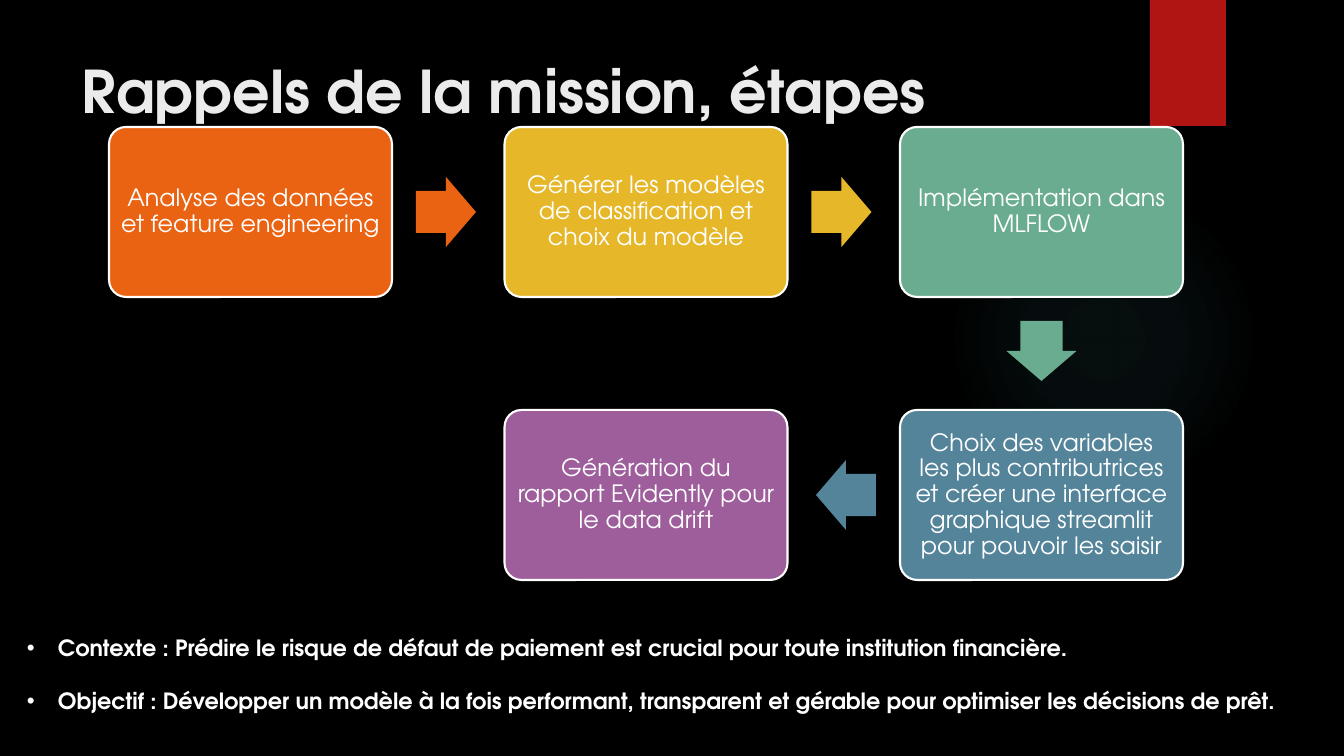
from dataclasses import dataclass
from lxml import etree
from pptx import Presentation
from pptx.dml.color import RGBColor
from pptx.enum.shapes import MSO_SHAPE as SHAPE
from pptx.enum.text import MSO_ANCHOR as ANCHOR, PP_ALIGN as ALIGN
from pptx.oxml import parse_xml
from pptx.oxml.ns import nsdecls, qn
from pptx.util import Pt


@dataclass(frozen=True)
class Theme:
    font: str = "TeX Gyre Adventor"
    background: str = "000000"
    white: str = "FFFFFF"
    title: str = "EBEBEB"
    ribbon: str = "B01513"
    glow: str = "50B9C1"
    title_size: int = 42
    step_size: int = 17
    note_size: int = 16


THEME = Theme()
PX = 914400 / 100.8
STEPS = [
    ("Analyse des données et feature engineering", "EA6312", 0, 0),
    ("Générer les modèles de classification et choix du modèle", "E6B729", 1, 0),
    ("Implémentation dans MLFLOW", "6AAC90", 2, 0),
    ("Choix des variables les plus contributrices et créer une interface "
     "graphique streamlit pour pouvoir les saisir", "54849A", 2, 1),
    ("Génération du rapport Evidently pour le data drift", "9E5E9B", 1, 1),
]
TURNS = {(1, 0): 0, (0, 1): 90, (-1, 0): 180}
NOTES = [
    "Contexte : Prédire le risque de défaut de paiement est crucial pour toute "
    "institution financière.",
    "Objectif : Développer un modèle à la fois performant, transparent et gérable "
    "pour optimiser les décisions de prêt.",
]


def emu(*lengths):
    return [round(n * PX) for n in lengths]


def rgb(color):
    return RGBColor.from_string(color)


def add_filled(slide, kind, box, color):
    s = slide.shapes.add_shape(kind, *emu(*box))
    s.shadow.inherit = False
    s.fill.solid()
    s.fill.fore_color.rgb = rgb(color)
    s.line.fill.background()
    return s


def add_run(p, text, size, color, bold=False):
    r = p.add_run()
    r.text = text
    r.font.name = THEME.font
    r.font.size = Pt(size)
    r.font.bold = bold
    r.font.color.rgb = rgb(color)


def add_text_frame(slide, box):
    tf = slide.shapes.add_textbox(*emu(*box)).text_frame
    tf.word_wrap = True
    return tf


def add_glow(slide, box):
    s = add_filled(slide, SHAPE.OVAL, box, THEME.glow)
    stops = "".join(
        f'<a:gs pos="{pos * 1000}"><a:srgbClr val="{THEME.glow}">'
        f'<a:alpha val="{alpha * 1000}"/></a:srgbClr></a:gs>'
        for pos, alpha in [(0, 7), (36, 6), (69, 0), (100, 0)])
    gradient = parse_xml(
        f'<a:gradFill {nsdecls("a")}><a:gsLst>{stops}</a:gsLst><a:path path="circle">'
        '<a:fillToRect l="50000" t="50000" r="50000" b="50000"/></a:path></a:gradFill>')
    props = s.element.spPr
    props.replace(props.find(qn("a:solidFill")), gradient)


def add_title(slide, box, text):
    tf = add_text_frame(slide, box)
    add_run(tf.paragraphs[0], text, THEME.title_size, THEME.title, True)


def add_step(slide, box, text, color):
    s = add_filled(slide, SHAPE.ROUNDED_RECTANGLE, box, color)
    s.adjustments[0] = 0.1
    s.line.color.rgb = rgb(THEME.white)
    s.line.width = Pt(1.5)
    tf = s.text_frame
    tf.word_wrap = True
    tf.vertical_anchor = ANCHOR.MIDDLE
    tf.margin_left, tf.margin_top, tf.margin_right, tf.margin_bottom = emu(7, 7, 7, 7)
    p = tf.paragraphs[0]
    p.alignment = ALIGN.CENTER
    p.line_spacing = 0.9
    add_run(p, text, THEME.step_size, THEME.white)


def add_arrow(slide, step_box, direction, color):
    x, y, w, h = step_box
    dx, dy = direction
    length, breadth, gap = 60, 70, 24
    cx = x + w / 2 + dx * (w / 2 + gap + length / 2)
    cy = y + h / 2 + dy * (h / 2 + gap + length / 2)
    box = (cx - length / 2, cy - breadth / 2, length, breadth)
    s = add_filled(slide, SHAPE.RIGHT_ARROW, box, color)
    s.adjustments[0] = 0.6
    s.adjustments[1] = 0.5
    s.rotation = TURNS[direction]


def add_flow(slide, box):
    x, y, w, h = box
    step_w, step_h = 283, 170
    pitch_x, pitch_y = (w - step_w) / 2, h - step_h
    for i, (text, color, col, row) in enumerate(STEPS):
        step_box = (x + col * pitch_x, y + row * pitch_y, step_w, step_h)
        add_step(slide, step_box, text, color)
        if i + 1 < len(STEPS):
            next_col, next_row = STEPS[i + 1][2:]
            add_arrow(slide, step_box, (next_col - col, next_row - row), color)


def add_notes(slide, box):
    tf = add_text_frame(slide, box)
    indent = emu(31)[0]
    for i, text in enumerate(NOTES):
        p = tf.add_paragraph() if i else tf.paragraphs[0]
        p.space_before = Pt(19 if i else 0)
        props = p._p.get_or_add_pPr()
        props.set("marL", str(indent))
        props.set("indent", str(-indent))
        etree.SubElement(props, qn("a:buFont")).set("typeface", "Arial")
        etree.SubElement(props, qn("a:buChar")).set("char", "•")
        add_run(p, text, THEME.note_size, THEME.white, True)


def main():
    prs = Presentation()
    prs.slide_width, prs.slide_height = emu(1344, 756)
    slide = prs.slides.add_slide(prs.slide_layouts[6])
    slide.background.fill.solid()
    slide.background.fill.fore_color.rgb = rgb(THEME.background)
    add_glow(slide, (949, 184, 310, 310))
    add_filled(slide, SHAPE.RECTANGLE, (1150, 0, 76, 126), THEME.ribbon)
    add_title(slide, (72, 50, 1037, 154), "Rappels de la mission, étapes")
    add_flow(slide, (109, 127, 1074, 453))
    add_notes(slide, (17, 629, 1290, 122))
    prs.save("out.pptx")


if __name__ == "__main__":
    main()
